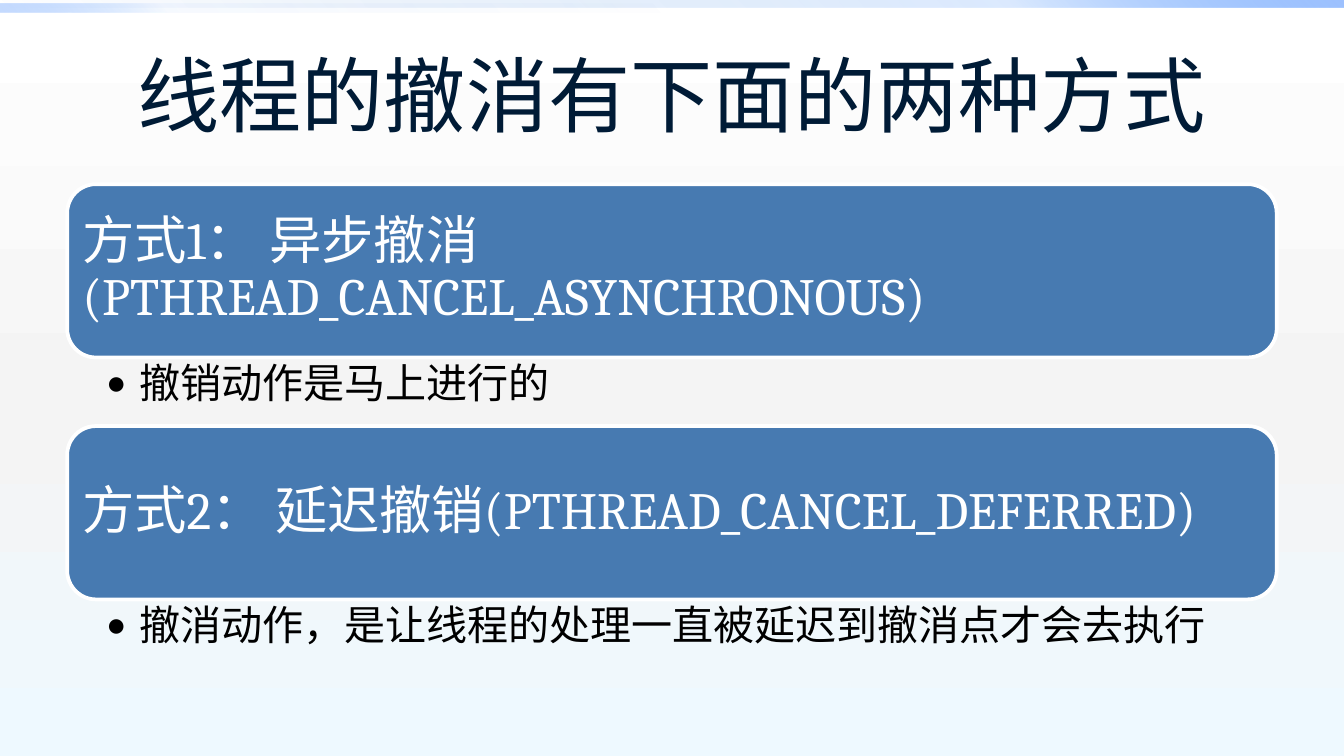
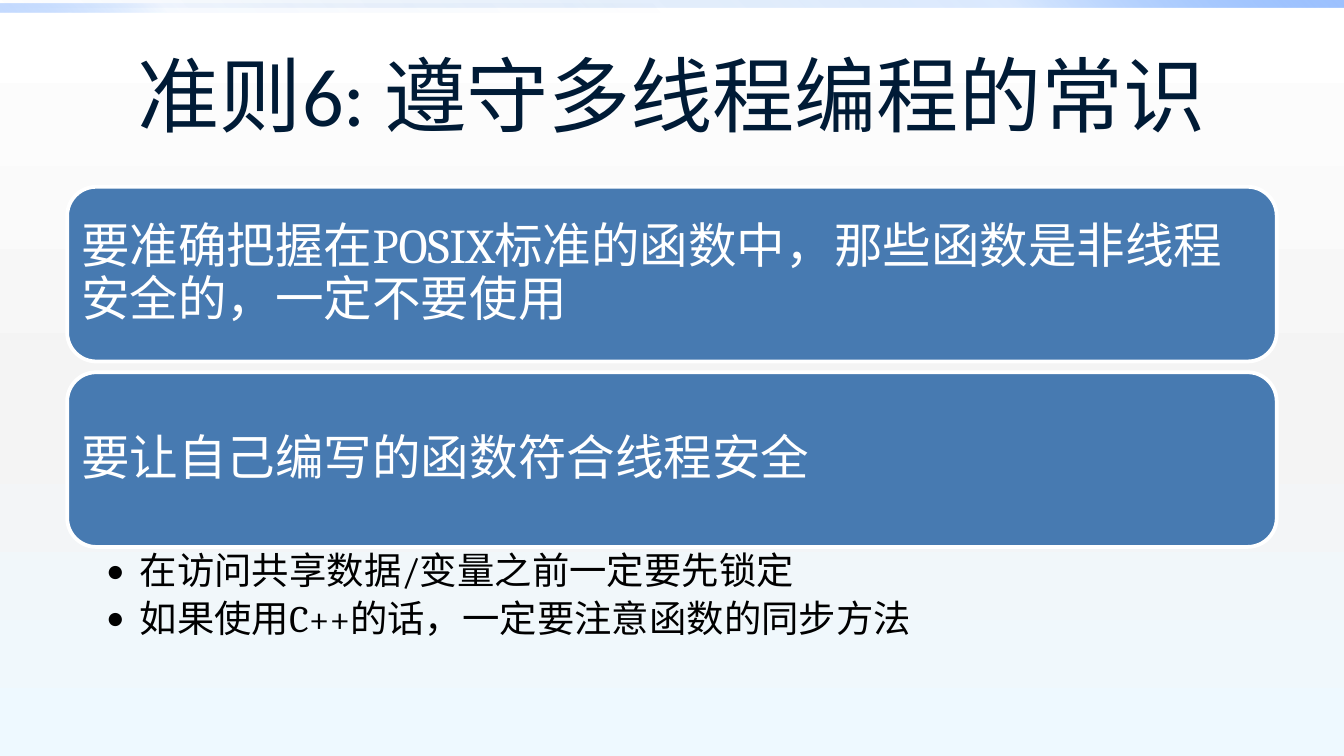
from dataclasses import dataclass

from lxml.etree import SubElement
from pptx import Presentation
from pptx.dml.color import RGBColor
from pptx.enum.shapes import MSO_SHAPE
from pptx.enum.text import MSO_ANCHOR, PP_ALIGN
from pptx.oxml.ns import qn
from pptx.util import Inches, Pt


@dataclass(frozen=True)
class Theme:
    title_color: RGBColor = RGBColor.from_string("001B36")
    card_fill: RGBColor = RGBColor.from_string("477AB1")
    card_text: RGBColor = RGBColor.from_string("FFFFFF")
    bullet_text: RGBColor = RGBColor.from_string("000000")
    title_font: str = "Calibri"
    body_font: str = "Cambria"
    title_size: int = 44
    # Gradient stops: position %, colour, opacity %
    background: tuple = ((0, "FFFFFF", 100), (55, "F4F4F4", 100), (100, "EEF9FF", 100))
    top_band: tuple = ((0, "0058B7", 0), (75, "4F95FF", 20), (100, "9EC2FF", 100))
    left_band: tuple = ((0, "0058B7", 0), (75, "4F95FF", 5), (100, "9EC2FF", 60))


theme = Theme()
LEFT, WIDTH = 0.5, 9

# Each card: heading, bullets below it, height of the bullet area or gap
slides = [
    {
        "title": "线程的撤消有下面的两种方式",
        "top": 1.37, "card_height": 1.29, "inset": 0.05,
        "card_size": 28, "bullet_size": 22,
        "cards": [
            ("方式1： 异步撤消(PTHREAD_CANCEL_ASYNCHRONOUS)",
             ["撤销动作是马上进行的"], 0.51),
            ("方式2： 延迟撤销(PTHREAD_CANCEL_DEFERRED)",
             ["撤消动作，是让线程的处理一直被延迟到撤消点才会去执行"], 0.51),
        ],
    },
    {
        "title": "准则6: 遵守多线程编程的常识",
        "top": 1.39, "card_height": 1.3, "inset": 0.04,
        "card_size": 26, "bullet_size": 20,
        "cards": [
            ("要准确把握在POSIX标准的函数中，那些函数是非线程安全的，一定不要使用",
             [], 0.08),
            ("要让自己编写的函数符合线程安全",
             ["在访问共享数据/变量之前一定要先锁定",
              "如果使用C++的话，一定要注意函数的同步方法"], 0.88),
        ],
    },
]


def apply_gradient(fill, element, stops, angle):
    """Give a fill its stops, with opacity, and a clockwise angle."""
    fill.gradient()
    gradient = element.find(".//" + qn("a:gradFill"))
    stop_list = gradient.find(qn("a:gsLst"))
    stop_list.clear()
    for position, color, opacity in stops:
        stop = SubElement(stop_list, qn("a:gs"), pos=str(position * 1000))
        rgb = SubElement(stop, qn("a:srgbClr"), val=color)
        if opacity < 100:
            SubElement(rgb, qn("a:alpha"), val=str(opacity * 1000))
    gradient.find(qn("a:lin")).set("ang", str(angle * 60000))


def write_text(shape, lines, font, size, color, insets, anchor, align=PP_ALIGN.LEFT):
    """Fill a shape with styled paragraphs; insets are left, top, right, bottom."""
    frame = shape.text_frame
    frame.word_wrap = True
    frame.vertical_anchor = anchor
    (frame.margin_left, frame.margin_top,
     frame.margin_right, frame.margin_bottom) = map(Inches, insets)
    frame.text = "\n".join(lines)
    for paragraph in frame.paragraphs:
        paragraph.alignment = align
        for run in paragraph.runs:
            run.font.name = font
            run.font.size = Pt(size)
            run.font.color.rgb = color
    return frame.paragraphs


# Widescreen page, 16:9
prs = Presentation()
prs.slide_width = Inches(10)
prs.slide_height = Inches(10 * 9 / 16)

for content in slides:
    slide = prs.slides.add_slide(prs.slide_layouts[6])

    # Background and the two bands along the top edge
    apply_gradient(slide.background.fill, slide.element, theme.background, 90)
    for band_top, band_width, stops, angle in (
        (0, 10, theme.top_band, 315),
        (0.03, 5, theme.left_band, 135),
    ):
        band = slide.shapes.add_shape(
            MSO_SHAPE.RECTANGLE, 0, Inches(band_top), Inches(band_width), Inches(0.06))
        band.shadow.inherit = False
        band.line.fill.background()
        apply_gradient(band.fill, band.element, stops, angle)

    # Title
    title = slide.shapes.add_textbox(
        Inches(LEFT), Inches(0.23), Inches(WIDTH), Inches(0.94))
    write_text(title, [content["title"]], theme.title_font, theme.title_size,
               theme.title_color, (0.1, 0.05, 0.1, 0.05),
               MSO_ANCHOR.MIDDLE, PP_ALIGN.CENTER)

    # Cards stacked downwards, each followed by its bullets or a gap
    top = content["top"]
    for heading, bullets, space_below in content["cards"]:
        card = slide.shapes.add_shape(
            MSO_SHAPE.ROUNDED_RECTANGLE, Inches(LEFT), Inches(top),
            Inches(WIDTH), Inches(content["card_height"]))
        card.shadow.inherit = False
        card.fill.solid()
        card.fill.fore_color.rgb = theme.card_fill
        card.line.color.rgb = theme.card_text
        card.line.width = Pt(2)
        for paragraph in write_text(
                card, [heading], theme.body_font, content["card_size"],
                theme.card_text, (content["inset"],) * 4, MSO_ANCHOR.MIDDLE):
            paragraph.line_spacing = 0.9
        top += content["card_height"]

        if bullets:
            details = slide.shapes.add_textbox(
                Inches(LEFT), Inches(top), Inches(WIDTH), Inches(space_below))
            for paragraph in write_text(
                    details, bullets, theme.body_font, content["bullet_size"],
                    theme.bullet_text, (0.29, 0.04, 0.2, 0.04), MSO_ANCHOR.TOP):
                paragraph.level = 1
                paragraph.line_spacing = 0.9
                paragraph.space_after = Pt(content["bullet_size"] * 0.2)
                properties = paragraph._p.get_or_add_pPr()
                properties.set("marL", str(Inches(0.25)))
                properties.set("indent", str(Inches(-0.25)))
                SubElement(properties, qn("a:buFont"), typeface=theme.title_font)
                SubElement(properties, qn("a:buChar"), char="•")
        top += space_below

prs.save("out.pptx")
